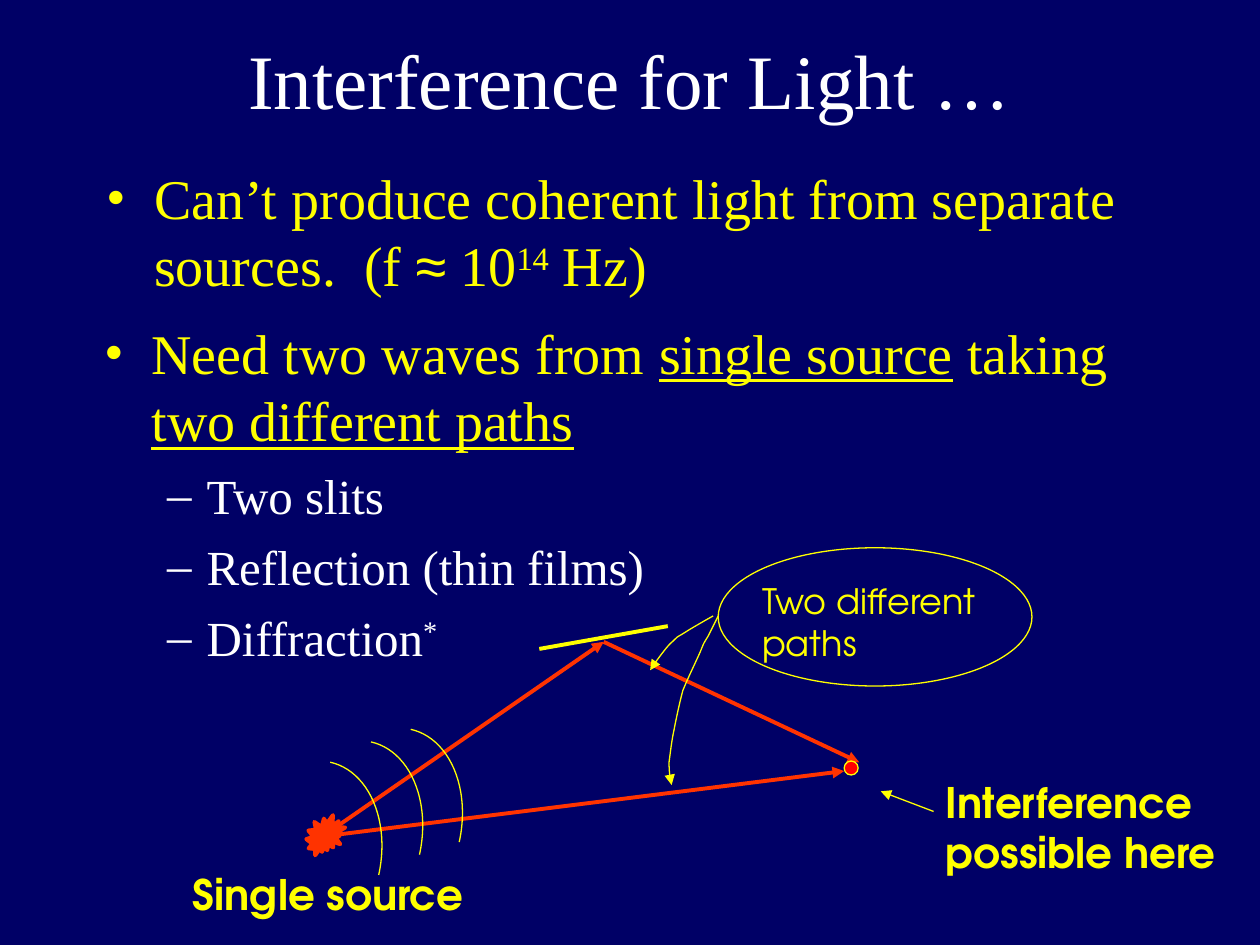
from lxml import etree
from pptx import Presentation
from pptx.dml.color import RGBColor
from pptx.enum.shapes import MSO_CONNECTOR, MSO_SHAPE
from pptx.enum.text import MSO_ANCHOR, MSO_AUTO_SIZE, PP_ALIGN
from pptx.oxml.ns import qn
from pptx.util import Pt

LINE = MSO_CONNECTOR.STRAIGHT
OVAL, ARC, BURST = MSO_SHAPE.OVAL, MSO_SHAPE.ARC, MSO_SHAPE.EXPLOSION2

NAVY = RGBColor(0x00, 0x00, 0x66)
YELLOW = RGBColor(0xFF, 0xFF, 0x00)
WHITE = RGBColor(0xFF, 0xFF, 0xFF)
ORANGE = RGBColor(0xFF, 0x33, 0x00)
RED = RGBColor(0xFF, 0x00, 0x00)
SERIF, SANS, ARIAL = "Times New Roman", "TeX Gyre Adventor", "Arial"
THIN, THICK = 0.75, 2.25

# Per level: bullet, left indent, hanging indent, size, space before, colour
LEVELS = [("•", 27, 27, 32, 8, YELLOW), ("–", 58.5, 22.5, 28, 7, WHITE)]

# Cubic curves: a start point, then three points for each segment
SHORT = [(407.5, 352), (401, 355.7), (394.6, 359.3), (390.2, 362.2),
         (386.6, 364.3), (387.4, 363.6), (384.5, 366.5),
         (381.6, 368.6), (376.6, 375.8), (374.4, 378.7),
         (372.2, 381.6), (371.5, 382.3), (371.5, 383)]
LONG = [(410.4, 352), (408.2, 356.4), (406.1, 360.7), (404.6, 363.6),
        (402.5, 367.2), (402.5, 366.5), (400.3, 372.2),
        (398.2, 377), (393.1, 387.4), (390.2, 394.6),
        (388.1, 402.5), (386.6, 409.7), (385.2, 416.9),
        (383.8, 423.4), (383, 430.6), (382.3, 435.6),
        (382.3, 441.4), (383, 445.7), (383.8, 448.6)]


def add_run(para, text, size, color, face=SERIF, bold=False, under=False,
            raised=False):
    run = para.add_run()
    run.text = text
    font = run.font
    font.name, font.size, font.bold = face, Pt(size), bold
    font.underline = under
    font.color.rgb = color
    if raised:
        run._r.get_or_add_rPr().set("baseline", "30000")


def add_box(slide, left, top, width, height):
    box = slide.shapes.add_textbox(Pt(left), Pt(top), Pt(width), Pt(height))
    box.text_frame.word_wrap = True
    return box.text_frame


def add_list(slide, left, top, width, height, items):
    """Add bulleted text; each item is a level and its (text, style) runs."""
    frame = add_box(slide, left, top, width, height)
    for num, (level, runs) in enumerate(items):
        para = frame.paragraphs[0] if num == 0 else frame.add_paragraph()
        mark, left_in, hang, size, before, color = LEVELS[level]
        para.level = level
        if num:
            para.space_before = Pt(before)
        props = para._p.get_or_add_pPr()
        props.set("marL", str(Pt(left_in)))
        props.set("indent", str(-Pt(hang)))
        tint = etree.SubElement(props, qn("a:buClr"))
        etree.SubElement(tint, qn("a:srgbClr")).set("val", str(color))
        etree.SubElement(props, qn("a:buFont")).set("typeface", SERIF)
        etree.SubElement(props, qn("a:buChar")).set("char", mark)
        for text, style in runs:
            add_run(para, text, size, color, **style)


def add_label(slide, left, top, width, height, text, size, bold):
    frame = add_box(slide, left, top, width, height)
    add_run(frame.paragraphs[0], text, size, YELLOW, SANS, bold)


def add_head(shape):
    line = shape.line._get_or_add_ln()
    etree.SubElement(line, qn("a:tailEnd")).set("type", "triangle")


def add_line(slide, start, end, color, width, head=True):
    line = slide.shapes.add_connector(
        LINE, *(Pt(v) for v in (*start, *end)))
    line.line.color.rgb = color
    line.line.width = Pt(width)
    if head:
        add_head(line)
    etree.SubElement(line._element.spPr, qn("a:effectLst"))


def paint(shape, fill, color, width):
    shape.shadow.inherit = False
    if fill is None:
        shape.fill.background()
    else:
        shape.fill.solid()
        shape.fill.fore_color.rgb = fill
    shape.line.color.rgb = color
    shape.line.width = Pt(width)


def add_form(slide, kind, left, top, width, height, fill=None, color=YELLOW,
             line=THIN, turn=0):
    form = slide.shapes.add_shape(
        kind, Pt(left), Pt(top), Pt(width), Pt(height))
    form.rotation = turn
    paint(form, fill, color, line)


def trace(points, steps=8):
    """Return points along a chain of cubic curves."""
    out = []
    for i in range(0, len(points) - 1, 3):
        for step in range(1, steps + 1):
            t = step / steps
            s = 1 - t
            parts = (s ** 3, 3 * s * s * t, 3 * s * t * t, t ** 3)
            out.append(tuple(
                Pt(sum(k * p[axis] for k, p in zip(parts, points[i:i + 4])))
                for axis in (0, 1)))
    return out


def add_curve(slide, points):
    x, y = points[0]
    pen = slide.shapes.build_freeform(Pt(x), Pt(y))
    pen.add_line_segments(trace(points), close=False)
    curve = pen.convert_to_shape()
    paint(curve, None, YELLOW, THIN)
    add_head(curve)


def add_title(slide, text):
    title = slide.shapes.title
    title.left, title.top = Pt(54), Pt(0)
    title.width, title.height = Pt(612), Pt(90)
    frame = title.text_frame
    frame.auto_size = MSO_AUTO_SIZE.NONE
    frame.vertical_anchor = MSO_ANCHOR.MIDDLE
    para = frame.paragraphs[0]
    para.alignment = PP_ALIGN.CENTER
    add_run(para, text, 44, WHITE)


def add_scene(slide):
    source, mirror = (184.3, 478), (345, 366.8)
    for start, end in ((source, mirror), (mirror, (491, 435.6)),
                       (source, (482.4, 440.6))):
        add_line(slide, start, end, ORANGE, THICK)
    add_form(slide, OVAL, 482.4, 434.9, 8, 8, RED)
    add_label(slide, 103, 492.5, 204.5, 36, "Single source", 24, True)
    add_form(slide, BURST, 175, 465.8, 22.3, 23, ORANGE, ORANGE, THICK)
    for left, top in ((135.4, 434.2), (158.7, 422.6), (181.4, 415.4)):
        add_form(slide, ARC, left, top, 82, 113.8, turn=12.5)
    add_label(slide, 428.4, 327.6, 177.8, 55.4, "Two different paths", 20,
              False)
    add_curve(slide, SHORT)
    add_curve(slide, LONG)
    add_form(slide, OVAL, 410.4, 313, 179.3, 79)
    add_label(slide, 533.5, 440, 180, 64.8, "Interference possible here", 24,
              True)
    add_line(slide, (533.5, 463.7), (503.3, 452.2), YELLOW, THIN)


def main():
    deck = Presentation()
    deck.slide_width, deck.slide_height = Pt(720), Pt(540)
    slide = deck.slides.add_slide(deck.slide_layouts[5])
    slide.background.fill.solid()
    slide.background.fill.fore_color.rgb = NAVY

    add_title(slide, "Interference for Light …")
    add_list(slide, 54, 90, 612, 118.8, [
        (0, [("Can’t produce coherent light from separate sources.  (f ", {}),
             ("≈", {"face": ARIAL}), (" 10", {}), ("14", {"raised": True}),
             (" Hz)", {})])])
    add_scene(slide)
    add_list(slide, 52.5, 178.6, 612, 228.2, [
        (0, [("Need two waves from ", {}), ("single source", {"under": True}),
             (" taking ", {}), ("two different paths", {"under": True})]),
        (1, [("Two slits", {})]),
        (1, [("Reflection (thin films)", {})]),
        (1, [("Diffraction", {}), ("*", {"raised": True})])])
    add_line(slide, (308.2, 370.8), (381.6, 357.8), YELLOW, THICK, head=False)
    deck.save("out.pptx")


if __name__ == "__main__":
    main()
